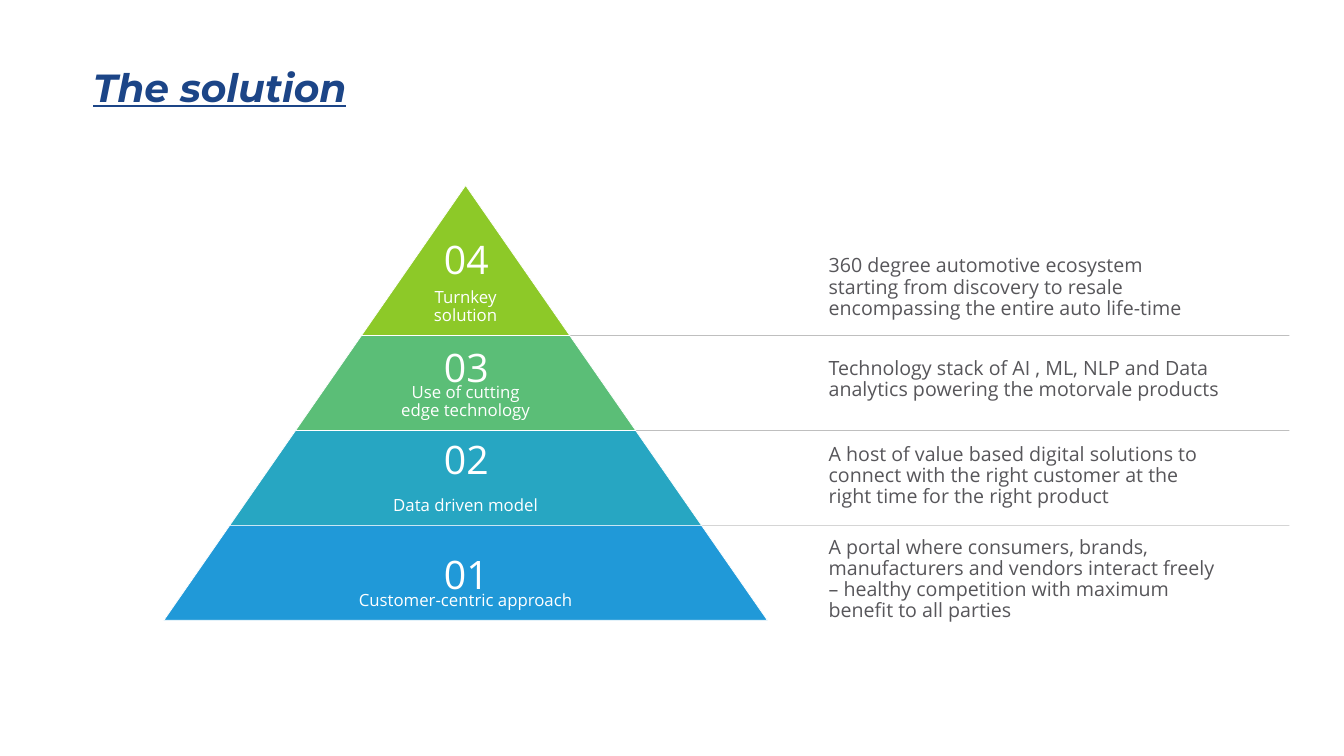
from dataclasses import dataclass

from lxml import etree
from pptx import Presentation
from pptx.dml.color import RGBColor
from pptx.enum.shapes import MSO_CONNECTOR, MSO_SHAPE
from pptx.enum.text import MSO_ANCHOR, MSO_AUTO_SIZE, PP_ALIGN
from pptx.oxml.ns import qn
from pptx.util import Pt

STRAIGHT = MSO_CONNECTOR.STRAIGHT
TRAPEZOID = MSO_SHAPE.TRAPEZOID
TOP, BOTTOM = MSO_ANCHOR.TOP, MSO_ANCHOR.BOTTOM
LEFT, CENTER = PP_ALIGN.LEFT, PP_ALIGN.CENTER
FIT_SHAPE, NO_FIT = MSO_AUTO_SIZE.SHAPE_TO_FIT_TEXT, MSO_AUTO_SIZE.NONE

BODY_FONT, TITLE_FONT = "Open Sans", "Montserrat"
WHITE, NAVY, GREY_TEXT, RULE_GREY = "FFFFFF", "1C4587", "57565A", "808080"
SLOPE = 0.694  # horizontal run of a pyramid side per unit of height
DEFAULT_INSETS = (7.2, 3.6, 7.2, 3.6)
LABEL_INSETS = (1.4, 1.4, 1.4, 7.2)


@dataclass
class Tier:
    """Offsets are measured down from the top of the tier."""
    number: str
    label: str
    description: str
    color: str
    height: float
    number_offset: float
    label_width: float
    label_height: float
    description_offset: float
    description_width: float
    description_height: float


TIERS = [
    Tier("04", "Turnkey solution",
         "360 degree automotive ecosystem starting from discovery to resale "
         "encompassing the entire auto life-time",
         "8DC928", 107.2, 31.7, 50, 71, 46.8, 281.5, 53.3),
    Tier("03", "Use of cutting edge technology",
         "Technology stack of AI , ML, NLP and Data analytics powering the "
         "motorvale products",
         "5BBE77", 67.8, 2.2, 95, 54, 13, 298, 38.2),
    Tier("02", "Data driven model",
         "A host of value based digital solutions to connect with the right "
         "customer at the right time for the right product",
         "27A6C2", 67.8, 0, 156, 58, 6.4, 281.5, 53.3),
    Tier("01", "Customer-centric approach",
         "A portal where consumers, brands, manufacturers and vendors interact "
         "freely – healthy competition with maximum benefit to all parties",
         "2099D8", 67.8, 14.3, 217.5, 60.5, 4.8, 298, 68.4),
]


def rgb(hex_color):
    return RGBColor.from_string(hex_color)


def write(frame, text, size, color, font=BODY_FONT, align=LEFT, spacing=0.9,
          anchor=TOP, insets=DEFAULT_INSETS, fit=NO_FIT, wrap=True):
    """Fill a text frame with one paragraph and return its run's font."""
    frame.word_wrap = wrap
    frame.auto_size = fit
    frame.vertical_anchor = anchor
    (frame.margin_left, frame.margin_top,
     frame.margin_right, frame.margin_bottom) = map(Pt, insets)
    frame.text = text
    paragraph = frame.paragraphs[0]
    paragraph.alignment = align
    paragraph.line_spacing = spacing
    run_font = paragraph.runs[0].font
    run_font.name = font
    run_font.size = Pt(size)
    run_font.color.rgb = rgb(color)
    return run_font


def add_text(slide, left, top, width, height, text, size, color, **style):
    box = slide.shapes.add_textbox(Pt(left), Pt(top), Pt(width), Pt(height))
    write(box.text_frame, text, size, color, **style)


def add_title(slide, left, top, width, height):
    title = slide.shapes.title
    title.left, title.top = Pt(left), Pt(top)
    title.width, title.height = Pt(width), Pt(height)
    font = write(title.text_frame, "The solution", 28, NAVY, font=TITLE_FONT,
                 anchor=BOTTOM, insets=(0, 0, 0, 0))
    font.bold = font.italic = font.underline = True


def add_rule(slide, left, right, y):
    """Draw a half-transparent horizontal divider."""
    rule = slide.shapes.add_connector(STRAIGHT, Pt(left), Pt(y), Pt(right), Pt(y))
    rule.line.width = Pt(0.5)
    rule.line.color.rgb = rgb(RULE_GREY)
    properties = rule._element.spPr
    color = properties.find(".//" + qn("a:srgbClr"))
    etree.SubElement(color, qn("a:alpha"), val="50000")
    etree.SubElement(properties, qn("a:effectLst"))


def add_descriptions(slide, left, top, rule_left, rule_right):
    for tier in TIERS:
        add_text(slide, left, top + tier.description_offset,
                 tier.description_width, tier.description_height,
                 tier.description, 14, GREY_TEXT, fit=FIT_SHAPE)
        top += tier.height
        if tier is not TIERS[-1]:
            add_rule(slide, rule_left, rule_right, top)


def add_pyramid(slide, axis, apex):
    """Stack the tiers down from the apex, centred on a vertical axis."""
    top = apex
    for tier in TIERS:
        bottom = top + tier.height
        half_width = (bottom - apex) * SLOPE
        band = slide.shapes.add_shape(
            TRAPEZOID, Pt(axis - half_width), Pt(top),
            Pt(2 * half_width), Pt(tier.height))
        band.adjustments[0] = SLOPE
        band.shadow.inherit = False
        band.fill.solid()
        band.fill.fore_color.rgb = rgb(tier.color)
        band.line.color.rgb = rgb(WHITE)
        band.line.width = Pt(0.5)
        add_text(slide, axis - tier.label_width / 2, bottom - tier.label_height,
                 tier.label_width, tier.label_height, tier.label, 12, WHITE,
                 align=CENTER, anchor=BOTTOM, insets=LABEL_INSETS)
        add_text(slide, axis - 23, top + tier.number_offset, 47, 41,
                 tier.number, 28, WHITE, align=CENTER, spacing=1.0,
                 fit=FIT_SHAPE, wrap=False)
        top = bottom


def main():
    deck = Presentation()
    deck.slide_width, deck.slide_height = Pt(960), Pt(540)
    slide = deck.slides.add_slide(deck.slide_layouts[5])
    add_title(slide, left=66.5, top=21, width=475, height=58)
    add_descriptions(slide, left=584.8, top=132.5, rule_left=363, rule_right=921)
    add_pyramid(slide, axis=332.6, apex=132.5)
    deck.save("out.pptx")


if __name__ == "__main__":
    main()
